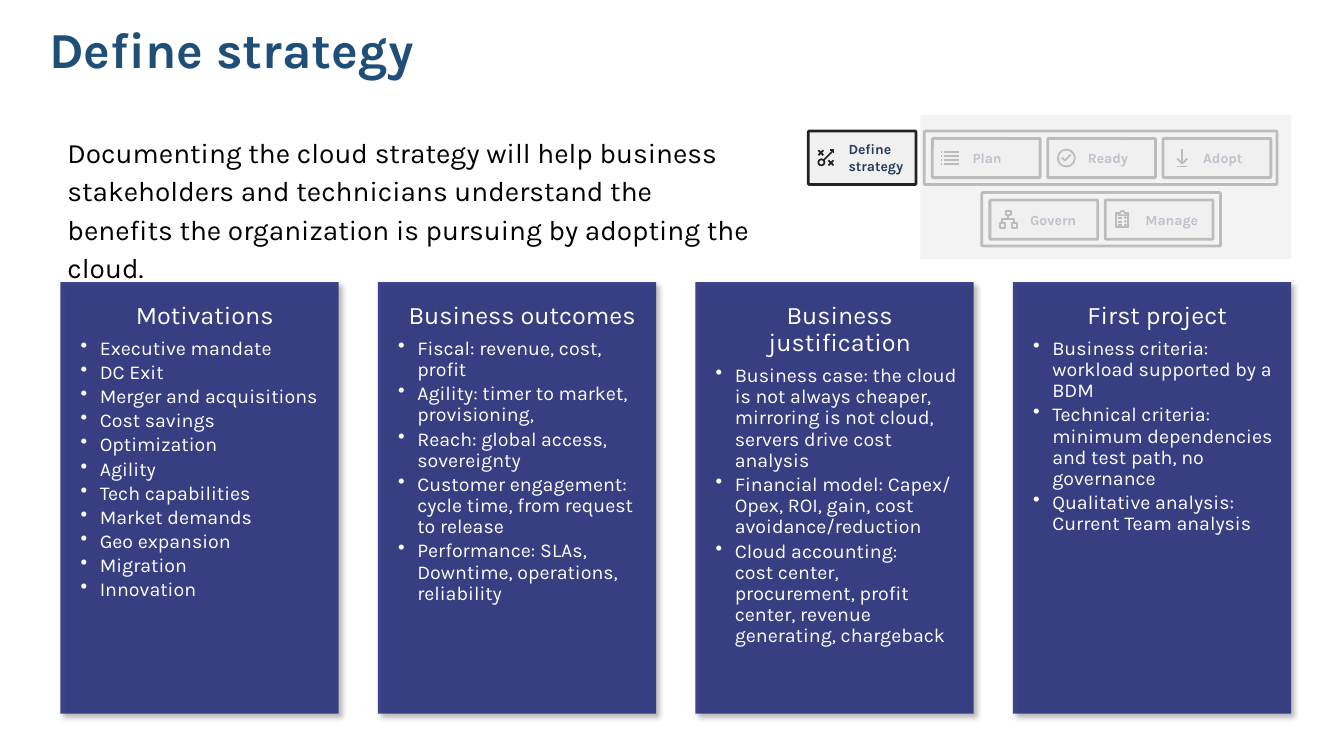
import copy

import pptx
import pptx.dml.color
import pptx.enum.shapes
import pptx.enum.text
import pptx.oxml
import pptx.oxml.ns
import pptx.util

Pt = pptx.util.Pt
RGBColor = pptx.dml.color.RGBColor
SHAPES = pptx.enum.shapes.MSO_SHAPE
ALIGN = pptx.enum.text.PP_ALIGN
ANCHOR = pptx.enum.text.MSO_ANCHOR
qn = pptx.oxml.ns.qn

TITLE_BLUE = RGBColor(0x1F, 0x4E, 0x79)
CARD_BLUE = RGBColor(0x2A, 0x31, 0x7D)
LABEL_BLUE = RGBColor(0x24, 0x3A, 0x5E)
OUTLINE = RGBColor(0x22, 0x22, 0x22)
PALE_GREY = RGBColor(0xF0, 0xF0, 0xF0)
WHITE = RGBColor(0xFF, 0xFF, 0xFF)
BLACK = RGBColor(0, 0, 0)

FONT = "Karla"
DRAWING_NS = 'xmlns:a="http://schemas.openxmlformats.org/drawingml/2006/main"'
CARD_SHADOW = (
    f'<a:effectLst {DRAWING_NS}>'
    '<a:outerShdw blurRad="50800" dist="38100" dir="2700000" algn="tl" rotWithShape="0">'
    '<a:srgbClr val="000000"><a:alpha val="30000"/></a:srgbClr>'
    '</a:outerShdw></a:effectLst>')

CARDS = [
    ("Motivations", [
        "Executive mandate", "DC Exit", "Merger and acquisitions", "Cost savings",
        "Optimization", "Agility", "Tech capabilities", "Market demands",
        "Geo expansion", "Migration", "Innovation"]),
    ("Business outcomes", [
        "Fiscal: revenue, cost, profit",
        "Agility: timer to market, provisioning,",
        "Reach: global access, sovereignty",
        "Customer engagement: cycle time, from request\nto release",
        "Performance: SLAs, Downtime, operations, reliability"]),
    ("Business justification", [
        "Business case: the cloud\nis not always cheaper, mirroring is not cloud, "
        "servers drive cost analysis",
        "Financial model: Capex/\nOpex, ROI, gain, cost avoidance/reduction",
        "Cloud accounting:\ncost center, procurement, profit center, revenue "
        "generating, chargeback"]),
    ("First project", [
        "Business criteria: workload supported by a BDM",
        "Technical criteria: minimum dependencies and test path, no governance",
        "Qualitative analysis: Current Team analysis"]),
]

# Icons: offset in the tile (points), then strokes and circle in tenths of a point
ICONS = {
    "Define strategy": ((7.2, 13.7), [
        [(36, 36), (0, 0)], [(36, 0), (0, 36)],
        [(108, 108), (72, 72)], [(108, 72), (72, 108)],
        [(36, 72), (108, 0)], [(108, 22), (108, 0), (86, 0)]], (0, 65, 43)),
    "Plan": ((6.5, 9.4), [
        [(x1, y), (x2, y)] for y in (0, 29, 58, 86) for x1, x2 in ((0, 7), (17, 122))], None),
    "Ready": ((7.2, 7.9), [[(29, 58), (50, 79), (94, 36)]], (0, 0, 122)),
    "Adopt": ((10.1, 7.9), [
        [(0, 65), (36, 101), (72, 65)], [(36, 101), (36, 0)], [(0, 122), (72, 122)]], None),
    "Govern": ((7.2, 7.9), [
        [(0, 86), (36, 86), (36, 122), (0, 122), (0, 86)],
        [(86, 86), (122, 86), (122, 122), (86, 122), (86, 86)],
        [(43, 0), (79, 0), (79, 29), (43, 29), (43, 0)],
        [(58, 29), (58, 58)], [(101, 86), (101, 58), (14, 58), (14, 86)]], None),
    "Manage": ((7.9, 7.9), [
        [(14, 14), (0, 14), (0, 115), (86, 115), (86, 14), (72, 14)],
        [(29, 14), (14, 14), (14, 29), (72, 29), (72, 14), (58, 14), (58, 7), (50, 0),
         (36, 0), (29, 7), (29, 14)],
        *[[(14, y), (43, y)] for y in (50, 79, 101)],
        *[[(58, y), (65, y + 7), (72, y)] for y in (43, 70, 94)]], None),
}


def add_text(frame, text, size, color, bold=False, align=ALIGN.LEFT, line_spacing=1.0,
             space_after=0, bullet=False):
    """Fill the frame's empty first paragraph, or append one."""
    paragraph = frame.paragraphs[-1]
    if paragraph.text:
        paragraph = frame.add_paragraph()
    paragraph.text = text
    if bullet:
        props = paragraph._p.get_or_add_pPr()
        props.set("marL", str(Pt(13.7)))
        props.set("indent", str(Pt(-13.7)))
        props.append(pptx.oxml.parse_xml(f'<a:buChar {DRAWING_NS} char="•"/>'))
    paragraph.alignment = align
    paragraph.line_spacing = line_spacing
    paragraph.space_after = Pt(space_after)
    for run in paragraph.runs:
        run.font.name, run.font.size, run.font.bold = FONT, Pt(size), bold
        run.font.color.rgb = color
    # Line breaks take the size of the text around them
    for line_break in paragraph._p.findall(qn("a:br")):
        line_break.insert(0, copy.deepcopy(paragraph.runs[0]._r.rPr))


def set_frame(frame, insets, anchor=ANCHOR.TOP):
    frame.word_wrap = True
    frame.vertical_anchor = anchor
    (frame.margin_left, frame.margin_top,
     frame.margin_right, frame.margin_bottom) = [Pt(inset) for inset in insets]
    return frame


def add_text_box(slide, box, text, insets, anchor=ANCHOR.TOP, **text_format):
    text_box = slide.shapes.add_textbox(*[Pt(length) for length in box])
    add_text(set_frame(text_box.text_frame, insets, anchor), text, **text_format)


def paint(shape, fill=None, alpha=None, line_width=None):
    shape.shadow.inherit = False
    if fill is None:
        shape.fill.background()
    else:
        shape.fill.solid()
        shape.fill.fore_color.rgb = fill
    if alpha is not None:
        fill_color = shape._element.spPr.find(qn("a:solidFill"))[0]
        fill_color.append(pptx.oxml.parse_xml(f'<a:alpha {DRAWING_NS} val="{alpha * 1000}"/>'))
    if line_width is None:
        shape.line.fill.background()
    else:
        shape.line.color.rgb = OUTLINE
        shape.line.width = Pt(line_width)


def add_block(slide, kind, box, **style):
    block = slide.shapes.add_shape(kind, *[Pt(length) for length in box])
    if kind == SHAPES.ROUNDED_RECTANGLE:
        block.adjustments[0] = 0.025
    paint(block, **style)
    return block


def add_icon(slide, name, left, top):
    (dx, dy), strokes, circle = ICONS[name]
    left, top = left + dx, top + dy
    builder = slide.shapes.build_freeform(*strokes[0][0], scale=Pt(1) / 10)
    for stroke in strokes:
        builder.move_to(*stroke[0])
        builder.add_line_segments(stroke[1:], close=False)
    paint(builder.convert_to_shape(Pt(left), Pt(top)), line_width=1.25)
    if circle:
        x, y, diameter = [length / 10 for length in circle]
        add_block(slide, SHAPES.OVAL, (left + x, top + y, diameter, diameter), line_width=1.25)


def add_stage(slide, name, box):
    tile = add_block(slide, SHAPES.ROUNDED_RECTANGLE, box, fill=PALE_GREY, line_width=2)
    frame = set_frame(tile.text_frame, (28.5, 0, 0, 0), ANCHOR.MIDDLE)
    add_text(frame, name, size=10, color=LABEL_BLUE, bold=True)
    add_icon(slide, name, *box[:2])


def add_stage_row(slide, names, box):
    """A frame with equally spaced stage tiles in it."""
    left, top = box[:2]
    add_block(slide, SHAPES.ROUNDED_RECTANGLE, box, line_width=2)
    for column, name in enumerate(names):
        add_stage(slide, name, (left + 5.8 + column * 82.4, top + 5.3, 77, 28))


def add_stage_map(slide, left, top):
    add_stage_row(slide, ["Plan", "Ready", "Adopt"], (left + 82.8, top + 11.5, 252, 38.2))
    add_stage(slide, "Define strategy", (left, top + 11.5, 77, 38.2))
    add_stage_row(slide, ["Govern", "Manage"], (left + 123.9, top + 55.5, 170.6, 38.2))
    # Veil over the stages that are not the current one
    add_block(slide, SHAPES.RECTANGLE, (left + 80, top, 265, 103), fill=PALE_GREY, alpha=75)


def add_card(slide, heading, points, box):
    card = add_block(slide, SHAPES.RECTANGLE, box, fill=CARD_BLUE, alpha=90)
    properties = card._element.spPr
    properties.replace(properties.find(qn("a:effectLst")), pptx.oxml.parse_xml(CARD_SHADOW))
    frame = set_frame(card.text_frame, (14.4, 14.4, 7.2, 0))
    add_text(frame, heading, size=18, color=WHITE, align=ALIGN.CENTER,
             line_spacing=0.9, space_after=6.3)
    for point in points:
        add_text(frame, point, size=14, color=WHITE, line_spacing=0.9,
                 space_after=2.1, bullet=True)


def add_cards(slide, left, top, width, height, pitch):
    for column, (heading, points) in enumerate(CARDS):
        add_card(slide, heading, points, (left + column * pitch, top, width, height))


def main():
    deck = pptx.Presentation()
    deck.slide_width, deck.slide_height = Pt(960), Pt(540)
    slide = deck.slides.add_slide(deck.slide_layouts[6])

    add_text_box(slide, (28.1, 10.8, 892.8, 53.3), "Define strategy", (7.2, 3.6, 7.2, 3.6),
                 ANCHOR.MIDDLE, size=36, color=TITLE_BLUE, bold=True, line_spacing=0.9)
    add_cards(slide, 43.2, 201.6, 198.7, 308.2, pitch=226.8)
    add_text_box(slide, (48.2, 90, 499, 90),
                 "Documenting the cloud strategy will help business stakeholders and "
                 "technicians understand the benefits the organization is pursuing by "
                 "adopting the cloud.",
                 (0, 3.6, 7.2, 3.6), size=20, color=BLACK, line_spacing=1.14)
    add_stage_map(slide, 577.4, 82.1)

    deck.save("out.pptx")


if __name__ == "__main__":
    main()
